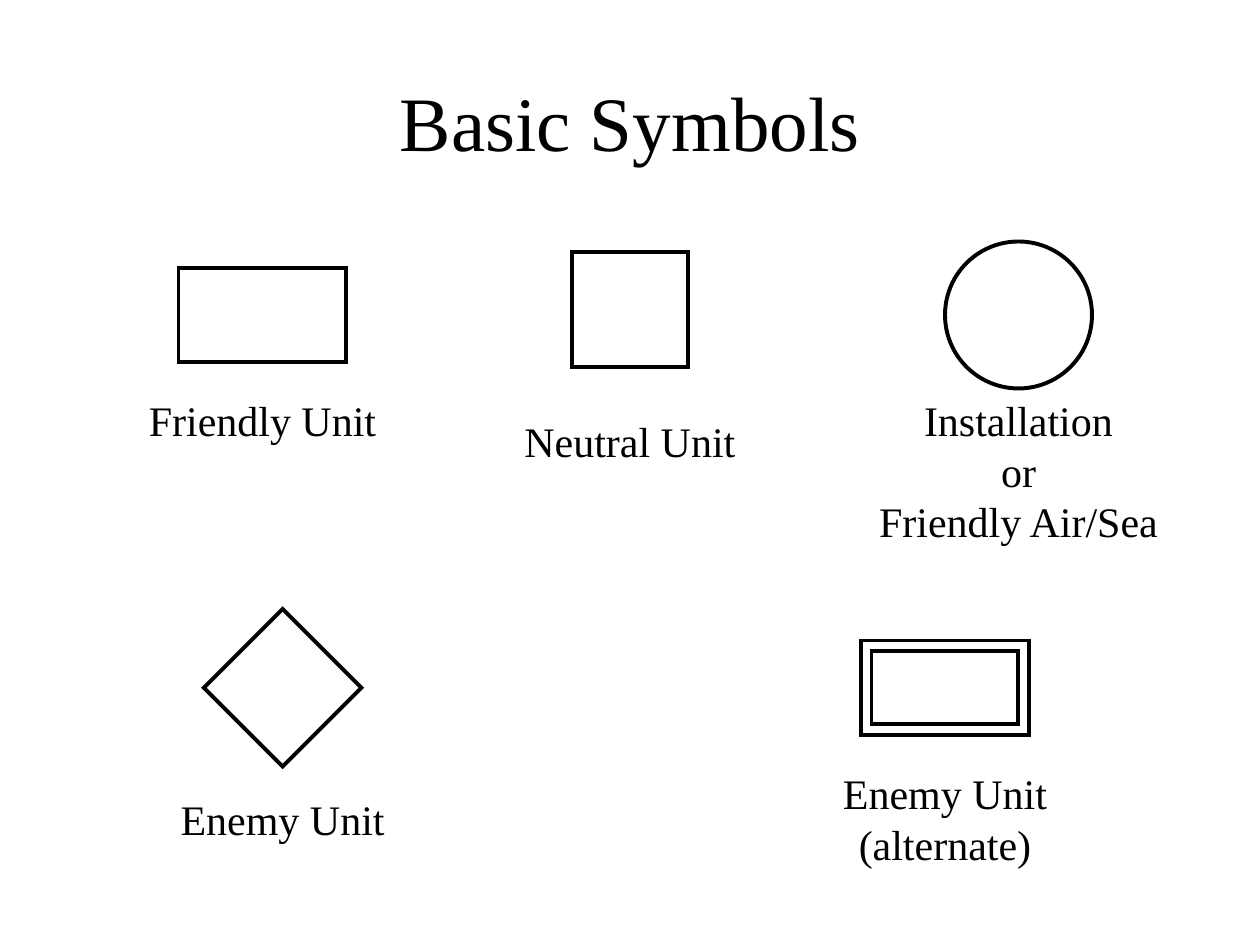
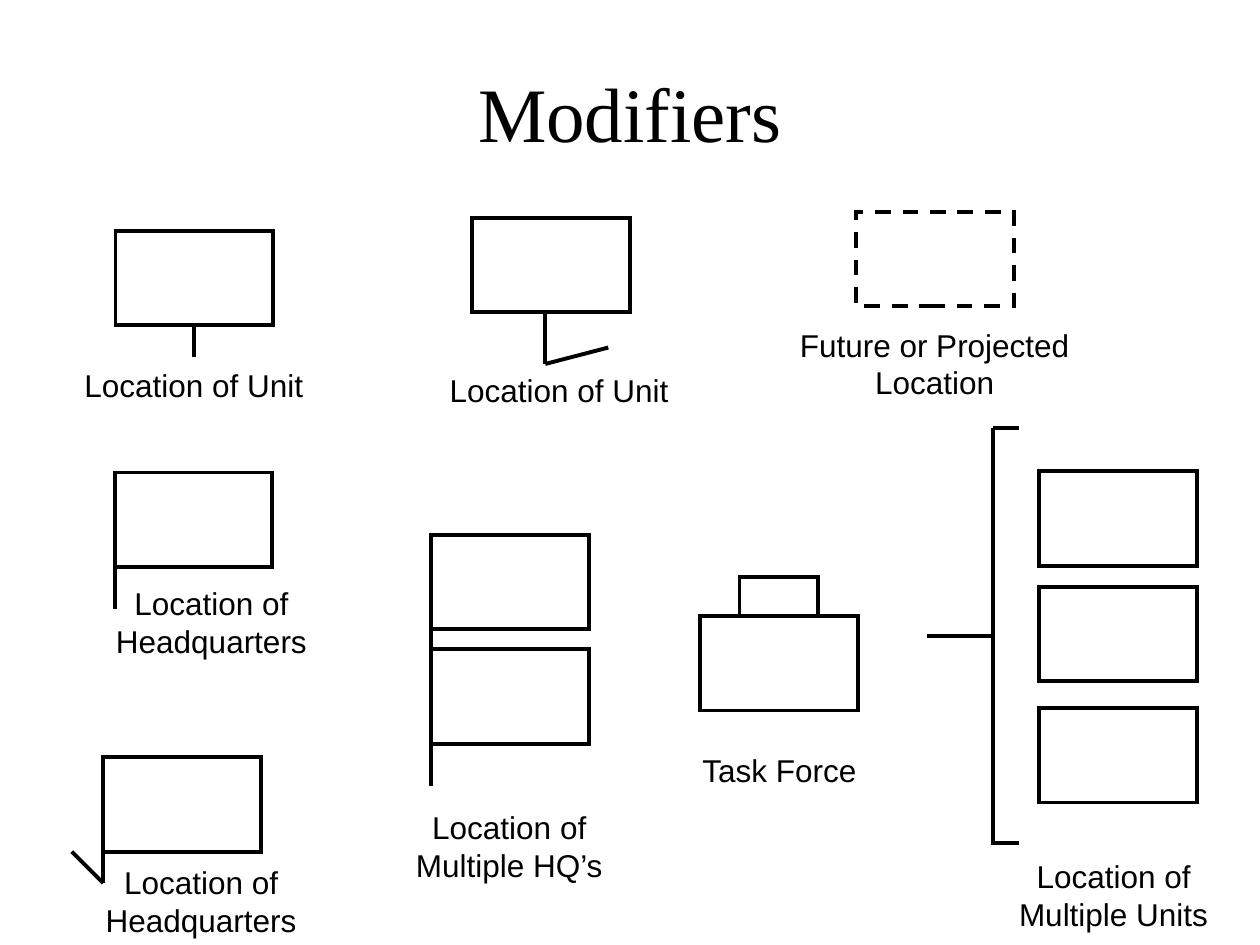
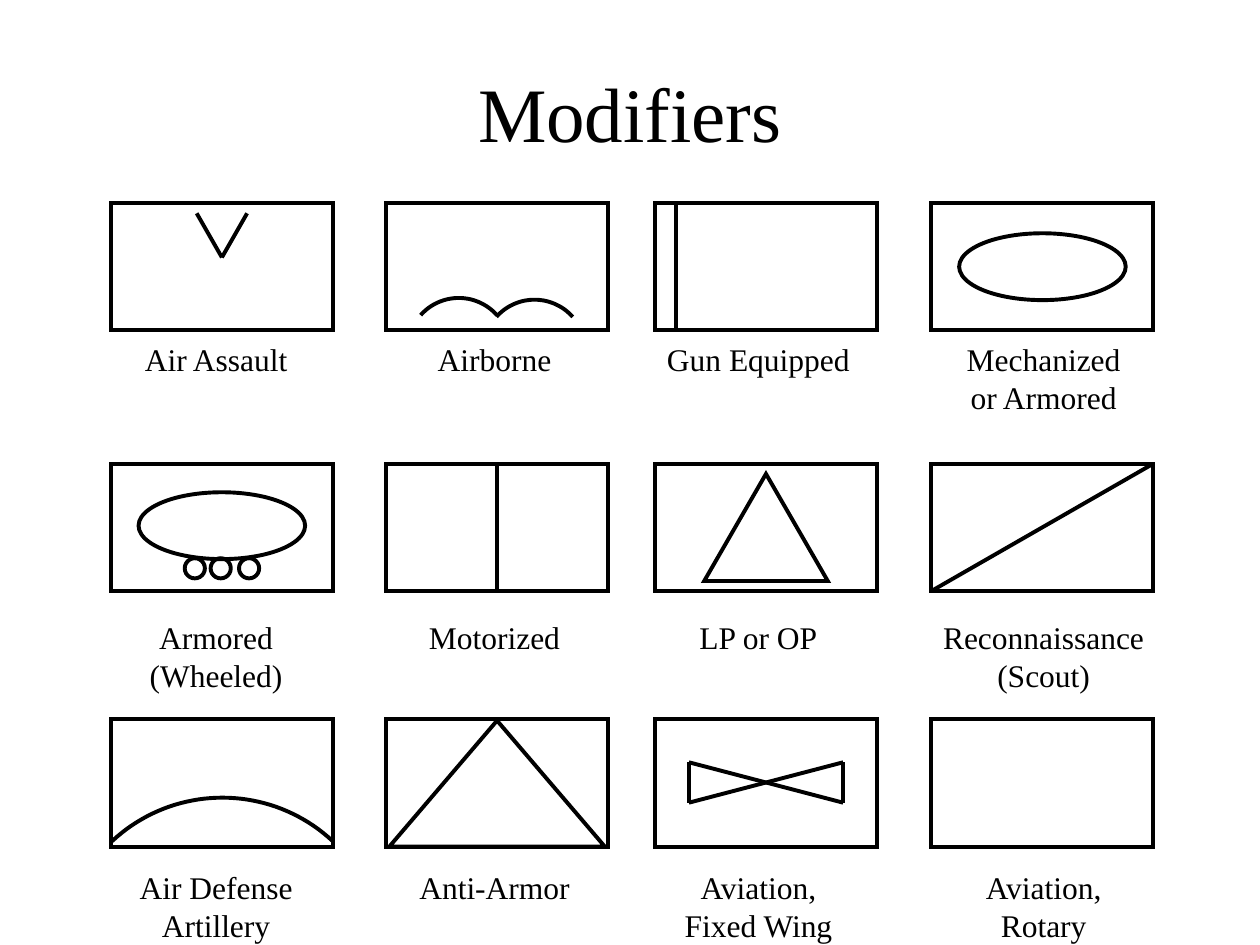
import math

from lxml import etree
from pptx import Presentation
from pptx.dml.color import RGBColor
from pptx.enum.dml import MSO_LINE
from pptx.enum.shapes import MSO_CONNECTOR, MSO_SHAPE
from pptx.enum.text import MSO_ANCHOR, MSO_AUTO_SIZE, PP_ALIGN
from pptx.oxml.ns import qn
from pptx.util import Pt

RECT, OVAL = MSO_SHAPE.RECTANGLE, MSO_SHAPE.OVAL
DIAMOND, TRIANGLE = MSO_SHAPE.DIAMOND, MSO_SHAPE.ISOSCELES_TRIANGLE
STRAIGHT, DASH = MSO_CONNECTOR.STRAIGHT, MSO_LINE.DASH
CENTER, LEFT = PP_ALIGN.CENTER, PP_ALIGN.LEFT
TOP_SITE, BOTTOM_SITE = 0, 2

COLORS = {"ink": "000000", "paper": "FFFFFF"}
SERIF, SANS = "Times New Roman", "Arial"
LINE_WIDTH = 2.25
UNIT_W, UNIT_H = 90, 54          # unit symbol on the location slide
FRAME_W, FRAME_H = 126.7, 72.7   # unit frame on the branch slide


# ---- shared drawing helpers ----

def color(name):
    return RGBColor.from_string(COLORS[name])


def write(frame, text, size=18, font=SERIF, align=CENTER):
    """Fill a text frame, one paragraph for each line of text."""
    for number, line_text in enumerate(text.split("\n")):
        paragraph = frame.add_paragraph() if number else frame.paragraphs[0]
        paragraph.alignment = align
        run = paragraph.add_run()
        run.text = line_text
        run.font.size, run.font.name = Pt(size), font
        run.font.color.rgb = color("ink")


def label(slide, text, x, y, width, wrap=False, **text_format):
    size = text_format.get("size", 18)
    height = 7.2 + 1.2 * size * (text.count("\n") + 1)
    box = slide.shapes.add_textbox(Pt(x), Pt(y), Pt(width), Pt(height))
    box.text_frame.word_wrap = wrap
    box.text_frame.auto_size = MSO_AUTO_SIZE.SHAPE_TO_FIT_TEXT
    write(box.text_frame, text, **text_format)


def centered_label(slide, text, center, y, width, **text_format):
    """Unwrapped label, slightly wider than its text so that no line breaks."""
    width += 4
    label(slide, text, center - width / 2, y, width, **text_format)


def ink_line(shape):
    shape.line.color.rgb = color("ink")
    shape.line.width = Pt(LINE_WIDTH)
    # Sharp corners
    etree.SubElement(shape._element.spPr.find(qn("a:ln")), qn("a:miter"), lim="800000")


def outline(slide, kind, x, y, width, height):
    shape = slide.shapes.add_shape(kind, Pt(x), Pt(y), Pt(width), Pt(height))
    shape.shadow.inherit = False
    shape.fill.background()
    ink_line(shape)
    return shape


def stroke(slide, x1, y1, x2, y2):
    connector = slide.shapes.add_connector(STRAIGHT, Pt(x1), Pt(y1), Pt(x2), Pt(y2))
    ink_line(connector)
    etree.SubElement(connector._element.spPr, qn("a:effectLst"))
    return connector


def arch(slide, x, base, chord, rise, steps=40):
    """Circular arc that stands on a level chord."""
    radius = (chord ** 2 / 4 + rise ** 2) / (2 * rise)
    half_angle = math.asin(chord / 2 / radius)
    points = []
    for step in range(steps + 1):
        angle = half_angle * (2 * step / steps - 1)
        points.append((Pt(x + chord / 2 + radius * math.sin(angle)),
                       Pt(base - rise + radius * (1 - math.cos(angle)))))
    builder = slide.shapes.build_freeform(*points[0])
    builder.add_line_segments(points[1:], close=False)
    curve = builder.convert_to_shape()
    curve.shadow.inherit = False
    curve.fill.background()
    ink_line(curve)


def titled_slide(deck, text, height=79.2):
    slide = deck.slides.add_slide(deck.slide_layouts[5])
    slide.background.fill.solid()
    slide.background.fill.fore_color.rgb = color("paper")
    title = slide.shapes.title
    title.left, title.top, title.width, title.height = Pt(54), Pt(24), Pt(612), Pt(height)
    title.text_frame.vertical_anchor = MSO_ANCHOR.MIDDLE
    write(title.text_frame, text, size=44)
    return slide


# ---- basic symbols ----

def basic_symbol(slide, kind, box, text, label_top, label_width):
    x, y, width, height = box
    outline(slide, kind, x, y, width, height)
    centered_label(slide, text, x + width / 2, label_top, label_width, size=24)


def basic_symbols_slide(deck):
    slide = titled_slide(deck, "Basic Symbols", height=90)
    basic_symbol(slide, RECT, (102, 153, 96, 54), "Friendly Unit", 222, 144)
    basic_symbol(slide, RECT, (327, 144, 66, 66), "Neutral Unit", 234, 134.6)
    basic_symbol(slide, OVAL, (540, 138, 84, 84),
                 "Installation\nor\nFriendly Air/Sea", 222, 175)
    basic_symbol(slide, DIAMOND, (116.5, 348, 90, 90), "Enemy Unit", 450, 131)
    basic_symbol(slide, RECT, (492, 366, 96, 54), "Enemy Unit\n(alternate)", 435.2, 131)
    outline(slide, RECT, 498, 372, 84, 42)  # inner border of the alternate symbol


# ---- location modifiers ----

def unit(slide, x, y):
    return outline(slide, RECT, x, y, UNIT_W, UNIT_H)


def caption(slide, text, x, y, width, align=CENTER):
    label(slide, text, x, y, width, wrap=True, font=SANS, align=align)


def unit_on_stem(slide, x, y):
    symbol = unit(slide, x, y)
    foot = y + UNIT_H
    stem = stroke(slide, x + UNIT_W / 2, foot, x + UNIT_W / 2, foot + 18)
    stem.begin_connect(symbol, BOTTOM_SITE)
    caption(slide, "Location of Unit", x - 24.8, y + 73.7, 139.7, LEFT)


def unit_on_bent_stem(slide, x, y):
    unit(slide, x, y)
    stem_x, stem_end = x + 41.8, y + 83.5
    stroke(slide, stem_x, y + UNIT_H, stem_x, stem_end)
    stroke(slide, stem_x, stem_end, stem_x + 36, stem_end - 9.4)
    caption(slide, "Location of Unit", x - 20, y + 84, 143.3, LEFT)


def projected_unit(slide, x, y):
    unit(slide, x, y).line.dash_style = DASH
    caption(slide, "Future or Projected Location", x - 42.3, y + 61.5, 174.2)


def unit_on_staff(slide, x, y, staff_end=78):
    unit(slide, x, y)
    stroke(slide, x, y + 36, x, y + staff_end)


def headquarters(slide, x, y):
    unit_on_staff(slide, x, y)
    caption(slide, "Location of Headquarters", x - 13.8, y + 60.2, 138.2)


def headquarters_on_bent_staff(slide, x, y):
    unit_on_staff(slide, x, y, staff_end=72)
    stroke(slide, x, y + 72, x - 18, y + 54)
    caption(slide, "Location of Headquarters", x - 7.4, y + 56.9, 126.7)


def multiple_headquarters(slide, x, y):
    for offset in (0, 65.5):
        unit_on_staff(slide, x, y + offset)
    caption(slide, "Location of Multiple HQ’s", x - 24.5, y + 152.6, 138.2)


def task_force(slide, x, y):
    unit(slide, x, y)
    outline(slide, RECT, x + 22.5, y - 22.3, 45, 22.3)
    caption(slide, "Task Force", x - 24.5, y + 73.4, 139.7)


def multiple_units(slide, x, y):
    for offset in (0, 66.2, 135.4):
        unit(slide, x, y + offset)
    # Bracket with its tail
    spine, top, bottom = x - 26.6, y - 24.5, y + 212.4
    stroke(slide, spine, top, spine, bottom + 1)
    for arm_y in (top, bottom):
        stroke(slide, spine, arm_y, spine + 15.2, arm_y)
    stroke(slide, spine - 37.4, y + 94.5, spine, y + 94.5)
    caption(slide, "Location of Multiple Units", x - 27.4, y + 217.2, 139.7)


def location_slide(deck):
    slide = titled_slide(deck, "Modifiers")
    unit_on_stem(slide, 66, 131.8)
    unit_on_bent_stem(slide, 269.8, 124.5)
    projected_unit(slide, 489.3, 121)
    headquarters(slide, 65.5, 270)
    headquarters_on_bent_staff(slide, 59, 432.7)
    multiple_headquarters(slide, 246.4, 305.5)
    task_force(slide, 400.1, 352)
    multiple_units(slide, 593.9, 269.2)


# ---- branch modifiers: each mark is placed inside its frame ----

def corner(frame):
    return frame.left.pt, frame.top.pt


def air_assault(slide, frame):
    x, y = corner(frame)
    for wing_x in (49, 77.8):
        stroke(slide, x + wing_x, y + 5.8, x + 63.4, y + 31)


def airborne(slide, frame):
    x, y = corner(frame)
    for canopy_x, base in ((19.6, 64), (62.9, 65)):
        arch(slide, x + canopy_x, y + base, 43.6, 9.8)


def gun_equipped(slide, frame):
    x, y = corner(frame)
    stroke(slide, x + 11.8, y, x + 11.8, y + FRAME_H)


def armored(slide, frame, hull_top=17.2):
    x, y = corner(frame)
    outline(slide, OVAL, x + 15.8, y + hull_top, 95.2, 38.2)


def armored_wheeled(slide, frame):
    armored(slide, frame, hull_top=16.3)
    x, y = corner(frame)
    for wheel_x in (42.2, 57, 73.2):
        outline(slide, OVAL, x + wheel_x, y + 54, 11.5, 11.5)


def motorized(slide, frame):
    x, y = corner(frame)
    bar = stroke(slide, x + FRAME_W / 2, y, x + FRAME_W / 2, y + FRAME_H)
    bar.begin_connect(frame, TOP_SITE)
    bar.end_connect(frame, BOTTOM_SITE)


def observation_post(slide, frame):
    x, y = corner(frame)
    outline(slide, TRIANGLE, x + 28, y + 5.8, 70.6, 61.2)


def reconnaissance(slide, frame):
    x, y = corner(frame)
    stroke(slide, x, y + FRAME_H, x + FRAME_W, y)


def air_defense(slide, frame):
    x, y = corner(frame)
    arch(slide, x + 0.7, y + 69.5, 126, 24.8)


def anti_armor(slide, frame):
    x, y = corner(frame)
    outline(slide, TRIANGLE, x + 1.7, y + 0.7, 123.1, 72)


def fixed_wing(slide, frame):
    x, y = corner(frame)
    left, right, top, bottom = x + 19.3, x + 107.4, y + 24.5, y + 47.6
    for ends in ((left, top, right, bottom), (right, top, left, bottom),
                 (left, top, left, bottom), (right, top, right, bottom)):
        stroke(slide, *ends)


COLUMNS = [(63.4, 123.5), (220.8, 282.6), (374.4, 433.4), (532.3, 596.4)]  # frame left, label centre
BRANCH_ROWS = [  # frame top, label top, cells of (text, label width, mark)
    (116.1, 190.8, [("Air Assault", 96.5, air_assault),
                    ("Airborne", 79.2, airborne),
                    ("Gun Equipped", 118.8, gun_equipped),
                    ("Mechanized\nor Armored", 102.2, armored)]),
    (265, 349.9, [("Armored\n(Wheeled)", 90, armored_wheeled),
                  ("Motorized", 89.3, motorized),
                  ("LP or OP", 82, observation_post),
                  ("Reconnaissance\n(Scout)", 128.9, reconnaissance)]),
    (411.1, 492.5, [("Air Defense\nArtillery", 101.5, air_defense),
                    ("Anti-Armor", 100, anti_armor),
                    ("Aviation,\nFixed Wing", 100, fixed_wing),
                    ("Aviation,\nRotary", 82, None)]),
]


def branch_slide(deck):
    slide = titled_slide(deck, "Modifiers")
    for frame_top, label_top, cells in BRANCH_ROWS:
        for (frame_left, center), (text, width, draw_mark) in zip(COLUMNS, cells):
            frame = outline(slide, RECT, frame_left, frame_top, FRAME_W, FRAME_H)
            if draw_mark:
                draw_mark(slide, frame)
            centered_label(slide, text, center, label_top, width)


def main():
    deck = Presentation()
    deck.slide_width, deck.slide_height = Pt(720), Pt(540)
    basic_symbols_slide(deck)
    location_slide(deck)
    branch_slide(deck)
    deck.save("out.pptx")


if __name__ == "__main__":
    main()
